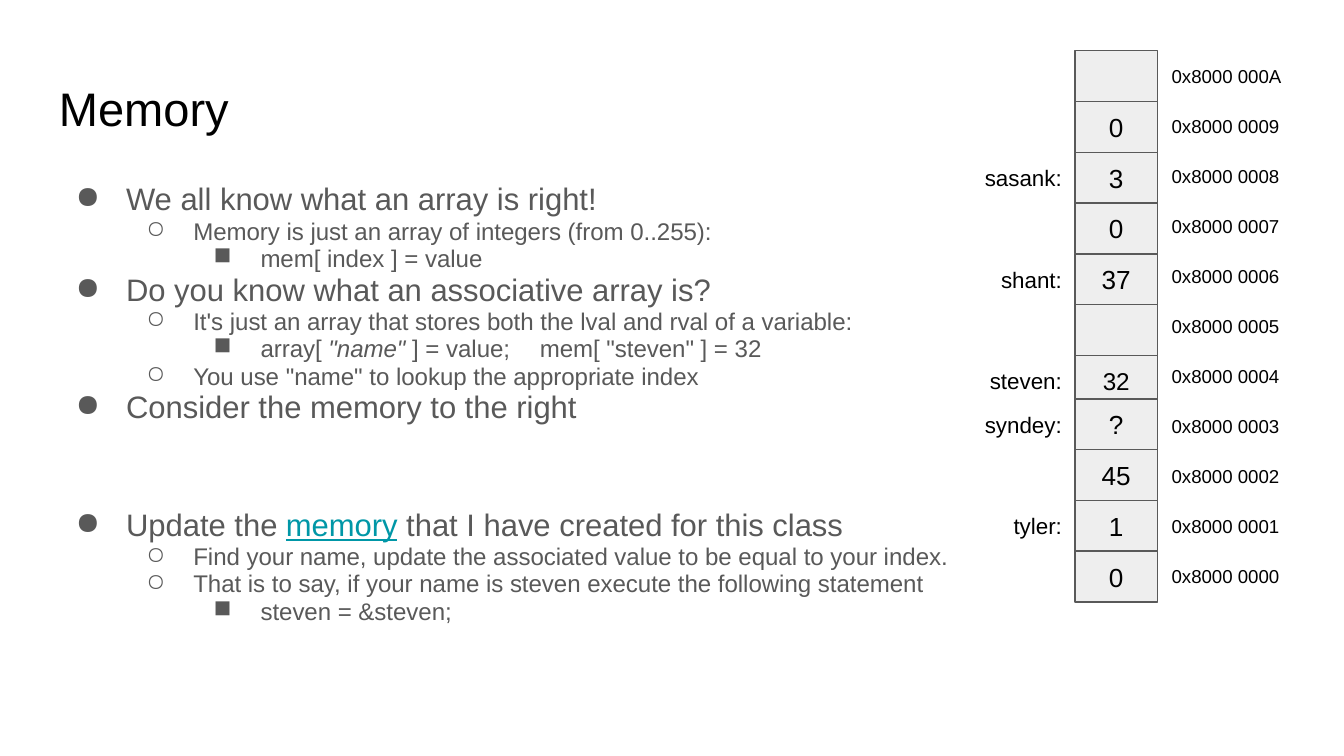
"""Build the slide that explains memory as an array."""
import dataclasses

import lxml.etree
import pptx
import pptx.dml.color
import pptx.enum.shapes
import pptx.enum.text
import pptx.oxml.ns
import pptx.util

Pt = pptx.util.Pt
ALIGN = pptx.enum.text.PP_ALIGN
ANCHOR = pptx.enum.text.MSO_ANCHOR


@dataclasses.dataclass(frozen=True)
class Theme:
    font: str = "Arial"
    ink: str = "000000"
    grey: str = "595959"
    link: str = "0097A7"
    cell: str = "EEEEEE"
    title: float = 25.2
    levels: tuple = (16.6, 12.9, 12.9)
    value: float = 14
    name: float = 12
    address: float = 10


THEME = Theme()
BULLETS = "●○■"
HANGING = (27, 25.2, 25.2)
OUTLINE = [
    (0, 0, ["We all know what an array is right!"]),
    (1, 0, ["Memory is just an array of integers (from 0..255):"]),
    (2, 0, ["mem[ index ] = value"]),
    (0, 0, ["Do you know what an associative array is?"]),
    (1, 0, ["It's just an array that stores both the lval and rval of a variable:"]),
    (2, 0, ["array[ ", ('"name" ', {"italic": True}), '] = value;\tmem[ "steven" ] = 32']),
    (1, 0, ['You use "name" to lookup the appropriate index']),
    (0, 0, ["Consider the memory to the right"]),
    (0, 44, ["Update the ", ("memory", {"color": THEME.link, "underline": True}),
             " that I have created for this class"]),
    (1, 0, ["Find your name, update the associated value to be equal to your index."]),
    (1, 0, ["That is to say, if your name is steven execute the following statement"]),
    (2, 0, ["steven = &steven;"]),
]
TAB_STOPS = (150, 257.6)

MEMORY = [
    ("", ""), ("0", ""), ("3", "sasank:"), ("0", ""), ("37", "shant:"), ("", ""),
    ("32", "steven:"), ("?", "syndey:"), ("45", ""), ("1", "tyler:"), ("0", ""),
]
NAME_WIDTHS = {"sasank:": 64.8, "shant:": 51.1, "steven:": 77.8, "syndey:": 69.8, "tyler:": 51.1}
CELL_LEFT, CELL_WIDTH, CELL_HEIGHT = 576, 44, 27.2
MEMORY_TOP, ADDRESS_PITCH = 27.2, 26.8
STEVEN_ROW, STEVEN_OVERLAP = 6, 3.9


def rgb(color):
    return pptx.dml.color.RGBColor.from_string(color)


def add_text(para, text, size, color=THEME.ink, italic=False, underline=False):
    span = para.add_run()
    span.text = text
    span.font.name = THEME.font
    span.font.size = Pt(size)
    span.font.color.rgb = rgb(color)
    span.font.italic = italic
    span.font.underline = underline


def add_child(parent, tag, **attributes):
    return lxml.etree.SubElement(parent, pptx.oxml.ns.qn(tag), attributes)


class SlideWriter:
    def __init__(self, slide, theme):
        self.slide = slide
        self.theme = theme

    def prepare_frame(self, box, anchor):
        frame = box.text_frame
        frame.word_wrap = True
        frame.vertical_anchor = anchor
        frame.margin_left = frame.margin_right = Pt(7.2)
        frame.margin_top = frame.margin_bottom = Pt(7.2)
        return frame

    def label(self, text, left, top, width, height, size, align=ALIGN.LEFT, anchor=ANCHOR.MIDDLE):
        box = self.slide.shapes.add_textbox(Pt(left), Pt(top), Pt(width), Pt(height))
        para = self.prepare_frame(box, anchor).paragraphs[0]
        para.alignment = align
        add_text(para, text, size)

    def cell(self, text, left, top, width, height, size):
        box = self.slide.shapes.add_shape(
            pptx.enum.shapes.MSO_SHAPE.RECTANGLE, Pt(left), Pt(top), Pt(width), Pt(height))
        box.shadow.inherit = False
        box.fill.solid()
        box.fill.fore_color.rgb = rgb(self.theme.cell)
        box.line.color.rgb = rgb(self.theme.grey)
        box.line.width = Pt(0.75)
        if text:
            para = self.prepare_frame(box, ANCHOR.MIDDLE).paragraphs[0]
            para.alignment = ALIGN.CENTER
            add_text(para, text, size)

    def bullet(self, para, level):
        properties = para._p.get_or_add_pPr()
        properties.set("marL", str(Pt(36 * (level + 1))))
        properties.set("indent", str(-Pt(HANGING[level])))
        color = add_child(properties, "a:buClr")
        add_child(color, "a:srgbClr", val=self.theme.grey)
        add_child(properties, "a:buChar", char=BULLETS[level])
        return properties

    def outline(self, items, left, top, width, height):
        box = self.slide.shapes.add_textbox(Pt(left), Pt(top), Pt(width), Pt(height))
        frame = self.prepare_frame(box, ANCHOR.TOP)
        for index, (level, space, parts) in enumerate(items):
            para = frame.add_paragraph() if index else frame.paragraphs[0]
            para.level = level
            para.line_spacing = 0.95
            para.space_before = Pt(space)
            properties = self.bullet(para, level)
            for part in parts:
                text, style = (part, {}) if isinstance(part, str) else part
                add_text(para, text, self.theme.levels[level],
                         **{"color": self.theme.grey, **style})
                if "\t" in text:
                    stops = add_child(properties, "a:tabLst")
                    for stop in TAB_STOPS:
                        add_child(stops, "a:tab", pos=str(Pt(stop)), algn="l")

    def memory(self, rows):
        for index, (value, name) in enumerate(rows):
            top = MEMORY_TOP + index * CELL_HEIGHT
            if index > STEVEN_ROW:
                top -= STEVEN_OVERLAP
            size = self.theme.value - (index == STEVEN_ROW)
            self.cell(value, CELL_LEFT, top, CELL_WIDTH, CELL_HEIGHT, size)
            if name:
                width = NAME_WIDTHS[name]
                self.label(name, CELL_LEFT - width, top, width, CELL_HEIGHT,
                           self.theme.name, align=ALIGN.RIGHT)
            self.label(f"0x8000 {len(rows) - 1 - index:04X}", CELL_LEFT + CELL_WIDTH + 0.6,
                       MEMORY_TOP + index * ADDRESS_PITCH, 82, CELL_HEIGHT, self.theme.address)


def main():
    deck = pptx.Presentation()
    deck.slide_width, deck.slide_height = Pt(720), Pt(405)
    page = SlideWriter(deck.slides.add_slide(deck.slide_layouts[6]), THEME)
    page.label("Memory", 24.5, 35.3, 671, 45.4, THEME.title, anchor=ANCHOR.TOP)
    page.outline(OUTLINE, 24.5, 90.7, 671, 269.3)
    page.memory(MEMORY)
    deck.save("out.pptx")


if __name__ == "__main__":
    main()
